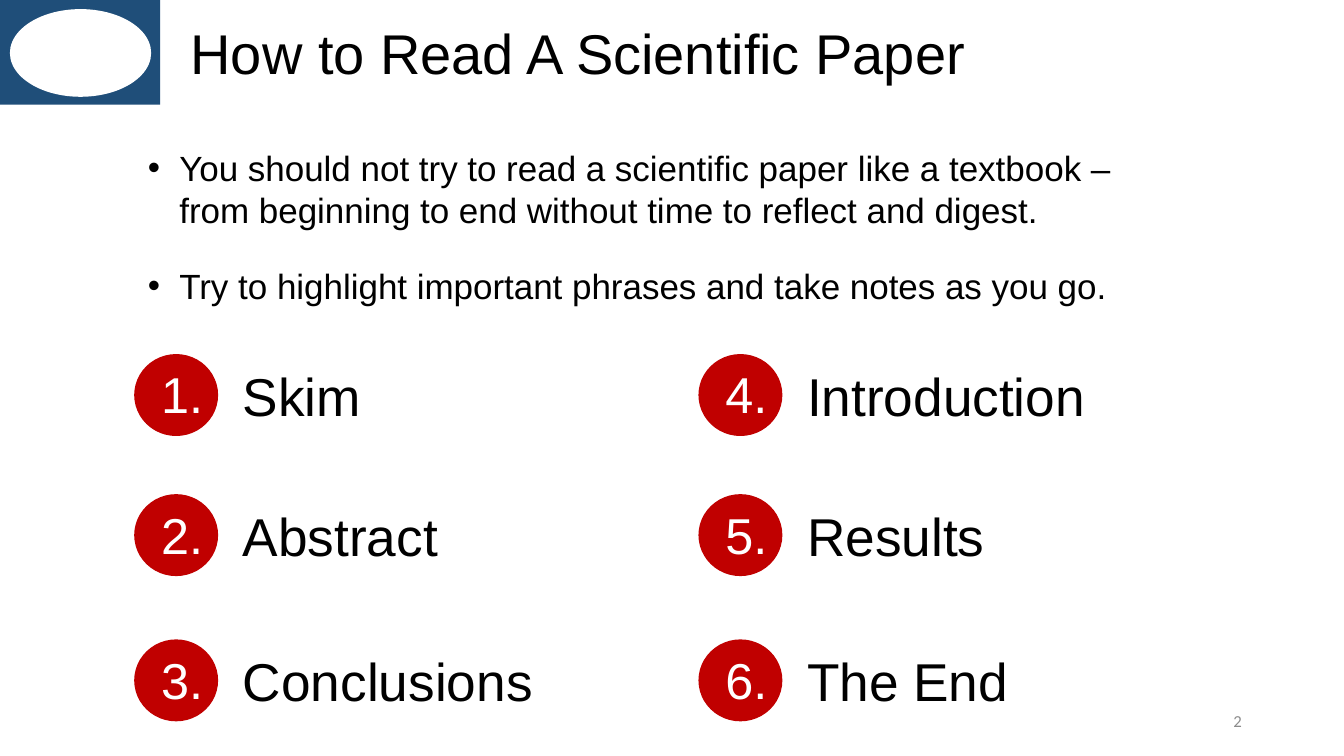
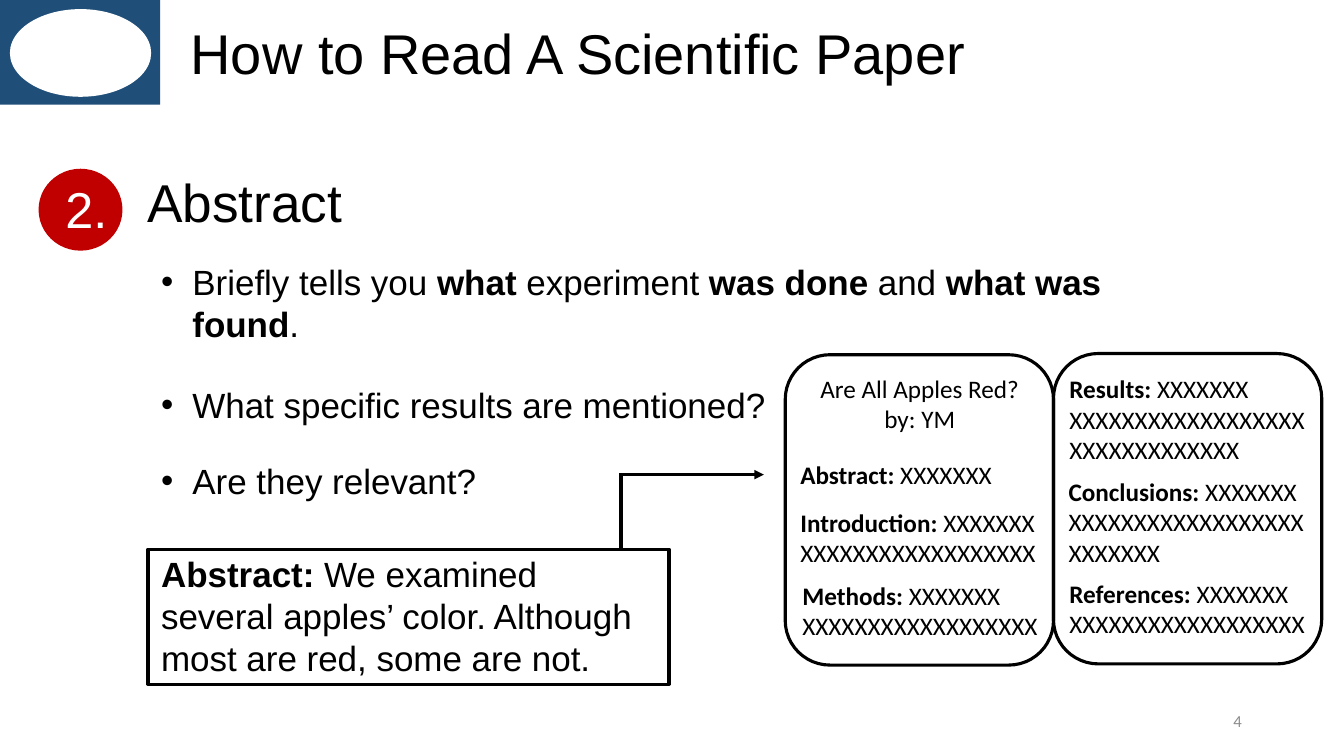
from lxml.etree import SubElement
from pptx import Presentation
from pptx.dml.color import RGBColor
from pptx.enum.shapes import MSO_CONNECTOR, MSO_SHAPE
from pptx.enum.text import MSO_ANCHOR, MSO_AUTO_SIZE, PP_ALIGN
from pptx.oxml.ns import qn
from pptx.util import Cm, Pt

BLACK = RGBColor(0, 0, 0)
WHITE = RGBColor(255, 255, 255)
NAVY = RGBColor(0x1F, 0x4E, 0x79)
RED = RGBColor(0xC0, 0, 0)
GREY = RGBColor(0x8C, 0x8C, 0x8C)

TITLE = "How to Read A Scientific Paper"
BADGE_SIZE = (2.08, 2.03)
PAGE_SIZE = (6.76, 7.82)
FILLER = "X" * 18


def write(shape, text, size=25, font="Arial", color=BLACK, align=PP_ALIGN.LEFT,
          anchor=MSO_ANCHOR.TOP, wrap=True, bullet=False, insets=None):
    """Write lines into a shape; parts between ** are bold."""
    frame = shape.text_frame
    frame.auto_size = MSO_AUTO_SIZE.NONE
    frame.word_wrap = wrap
    frame.vertical_anchor = anchor
    if insets:
        (frame.margin_left, frame.margin_top,
         frame.margin_right, frame.margin_bottom) = map(Cm, insets)
    for index, line in enumerate(text.split("\n")):
        paragraph = frame.add_paragraph() if index else frame.paragraphs[0]
        paragraph.alignment = align
        if bullet:
            properties = paragraph._p.get_or_add_pPr()
            properties.set("marL", str(Cm(0.79)))
            properties.set("indent", str(-Cm(0.79)))
            SubElement(properties, qn("a:buFont"), typeface="Arial")
            SubElement(properties, qn("a:buChar"), char="•")
        for part, words in enumerate(line.split("**")):
            if words:
                run = paragraph.add_run()
                run.text = words
                run.font.size = Pt(size)
                run.font.name = font
                run.font.bold = part % 2 == 1
                run.font.color.rgb = color


def add_text(slide, box, text, **style):
    """Add a text box at box in centimetres."""
    write(slide.shapes.add_textbox(*map(Cm, box)), text, **style)


def add_figure(slide, kind, box, fill=None, outline=None, weight=2.25):
    """Add a flat preset shape at box in centimetres."""
    figure = slide.shapes.add_shape(kind, *map(Cm, box))
    figure.shadow.inherit = False
    if fill is None:
        figure.fill.background()
    else:
        figure.fill.solid()
        figure.fill.fore_color.rgb = fill
    if outline is None:
        figure.line.fill.background()
    else:
        figure.line.color.rgb = outline
        figure.line.width = Pt(weight)
    return figure


def add_line(slide, start, end, arrow=False):
    """Draw a straight black line, optionally ending in an arrowhead."""
    line = slide.shapes.add_connector(
        MSO_CONNECTOR.STRAIGHT, *map(Cm, start + end))
    line.line.color.rgb = BLACK
    line.line.width = Pt(2.25)
    if arrow:
        SubElement(line.line._get_or_add_ln(), qn("a:tailEnd"), type="triangle")
    SubElement(line._element.spPr, qn("a:effectLst"))


def add_base_slide(deck, number):
    """Add a slide with the shared title, corner band and page number."""
    slide = deck.slides.add_slide(deck.slide_layouts[5])
    title = slide.shapes.title
    title.left, title.top, title.width, title.height = map(
        Cm, (4.55, 0.33, 23.16, 1.96))
    write(title, TITLE, size=40)
    add_figure(slide, MSO_SHAPE.RECTANGLE, (0, 0, 4.04, 2.64), fill=NAVY)
    add_figure(slide, MSO_SHAPE.OVAL, (0.25, 0.23, 3.56, 2.21), fill=WHITE)
    add_text(slide, (23.93, 17.65, 7.62, 1.02), str(number), size=12,
             font="Calibri", color=GREY, align=PP_ALIGN.RIGHT,
             anchor=MSO_ANCHOR.MIDDLE)
    return slide


def add_step(slide, left, top, number, label, label_shift=0.08):
    """Place a numbered red badge with its label to the right."""
    badge = add_figure(slide, MSO_SHAPE.OVAL, (left, top, *BADGE_SIZE),
                       fill=RED, outline=RED, weight=1)
    write(badge, f"{number}.", size=36, color=WHITE, align=PP_ALIGN.CENTER,
          anchor=MSO_ANCHOR.MIDDLE, wrap=False, insets=(0.3, 0, 0, 0.06))
    add_text(slide, (left + 2.47, top + label_shift, 10.4, 1.88), label, size=38)


def add_bullets(slide, left, bullets):
    """Place bullets given as top, width, height and text."""
    for top, width, height, text in bullets:
        add_text(slide, (left, top, width, height), text, bullet=True)


def add_page(slide, left, top, sections):
    """Draw one page of the sample paper with sections placed inside it."""
    add_figure(slide, MSO_SHAPE.ROUNDED_RECTANGLE, (left, top, *PAGE_SIZE),
               outline=BLACK)
    for across, down, text in sections:
        height = 0.25 + 0.77 * len(text.split("\n"))
        add_text(slide, (left + across, top + down, 6.5, height), text,
                 size=18, font="Calibri")


def add_paper(slide, left, top):
    """Draw the two-page sample paper."""
    add_page(slide, left, top, [
        (0.13, 2.51, "**Abstract:** XXXXXXX"),
        (0.13, 3.71, f"**Introduction: **XXXXXXX\n{FILLER}"),
        (0.18, 5.56, f"**Methods: **XXXXXXX\n{FILLER}"),
    ])
    add_text(slide, (left + 0.61, top + 0.33, 5.56, 1.8),
             "Are All Apples Red?\nby: YM", size=18, font="Calibri",
             align=PP_ALIGN.CENTER)
    add_page(slide, left + PAGE_SIZE[0], top - 0.03, [
        (0.15, 0.38, f"**Results: **XXXXXXX\n{FILLER}\nXXXXXXXXXXXXX"),
        (0.13, 2.97, f"**Conclusions: **XXXXXXX\n{FILLER}\nXXXXXXX"),
        (0.15, 5.54, f"**References: **XXXXXXX\n{FILLER}"),
    ])


def add_callout(slide, left, top):
    """Draw the framed sample abstract and its arrow to the paper."""
    frame = add_figure(slide, MSO_SHAPE.RECTANGLE, (left, top, 13.13, 3.4),
                       outline=BLACK)
    write(frame, "**Abstract:** We examined several apples’ color. "
          "Although most are red, some are not.", insets=(0.33, 0.08, 0.25, 0))
    corner = (left + 11.92, top - 1.88)
    add_line(slide, (corner[0], top), (corner[0], corner[1] - 0.04))
    add_line(slide, corner, (left + 15.52, corner[1]), arrow=True)


def build_overview(deck):
    """Build the slide that lists the six reading steps."""
    slide = add_base_slide(deck, 2)
    add_bullets(slide, 3.48, [
        (3.56, 25.78, 2.39, "You should not try to read a scientific paper like "
         "a textbook –from beginning to end without time to reflect and digest."),
        (6.53, 25.78, 1.32,
         "Try to highlight important phrases and take notes as you go."),
    ])
    steps = ("Skim", "Abstract", "Conclusions",
             "Introduction", "Results", "The End")
    row_tops = (8.94, 12.47, 16.13)
    for index, label in enumerate(steps):
        column, row = divmod(index, len(row_tops))
        add_step(slide, 3.4 + 14.22 * column, row_tops[row], index + 1, label)


def build_abstract(deck):
    """Build the slide that explains the abstract."""
    slide = add_base_slide(deck, 4)
    add_step(slide, 0.99, 4.27, 2, "Abstract", label_shift=-0.13)
    add_bullets(slide, 3.81, [
        (6.45, 25.78, 2.39, "Briefly tells you **what** experiment "
         "**was done **and **what was found**."),
        (9.53, 16.41, 1.32, "What specific results are mentioned?"),
        (11.46, 8.84, 1.32, "Are they relevant?"),
    ])
    add_paper(slide, 19.79, 8.94)
    add_callout(slide, 3.73, 13.84)


def main():
    """Build and save the presentation."""
    deck = Presentation()
    deck.slide_width, deck.slide_height = Cm(33.87), Cm(19.05)
    build_overview(deck)
    build_abstract(deck)
    deck.save("out.pptx")


if __name__ == "__main__":
    main()
